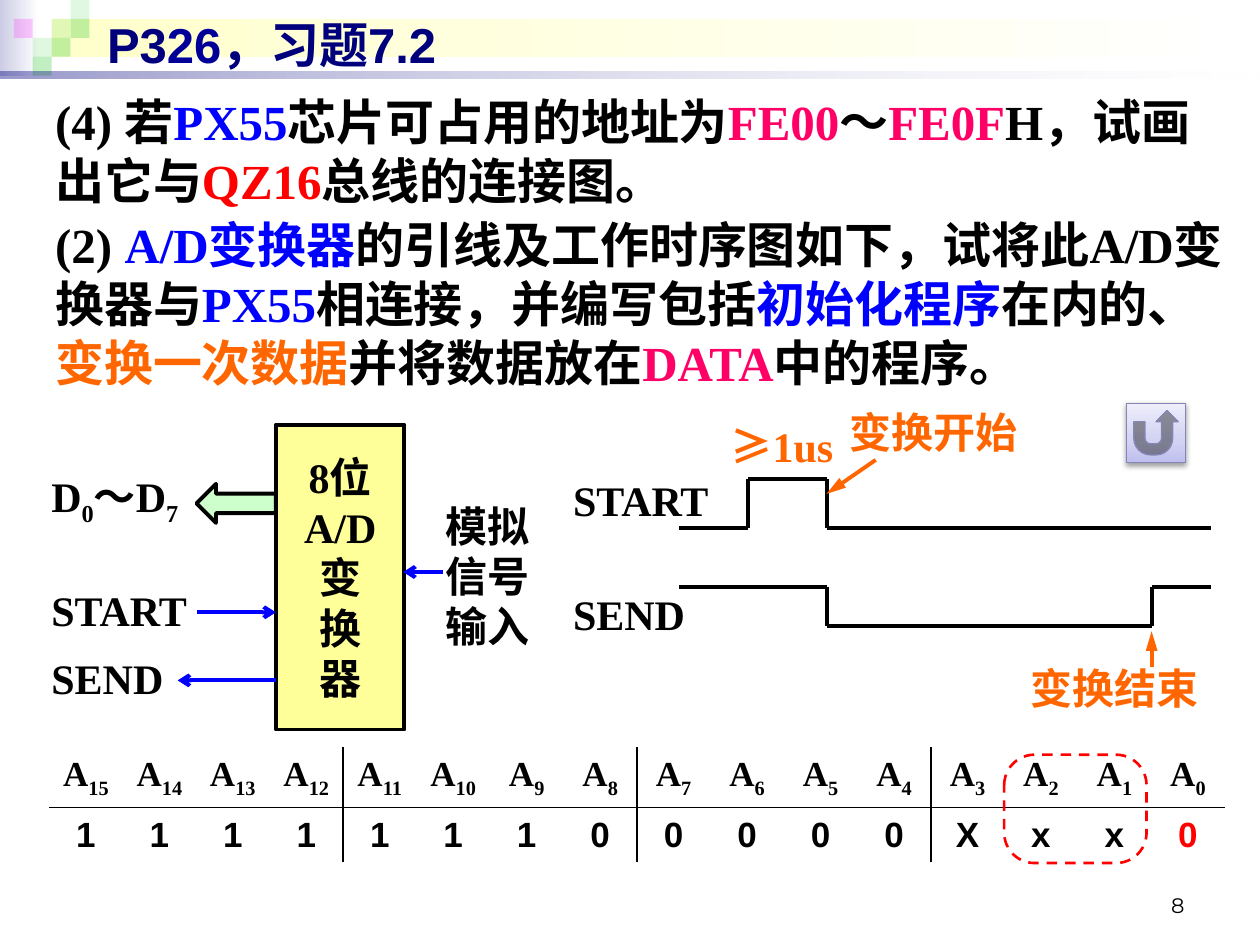
from itertools import pairwise
from lxml.etree import SubElement
from pptx import Presentation
from pptx.dml.color import RGBColor
from pptx.enum.dml import MSO_LINE
from pptx.enum.shapes import MSO_CONNECTOR, MSO_SHAPE
from pptx.enum.text import MSO_ANCHOR, MSO_AUTO_SIZE, PP_ALIGN
from pptx.oxml import parse_xml
from pptx.oxml.ns import nsdecls, qn
from pptx.util import Inches, Pt

BLACK = RGBColor(0, 0, 0)
NAVY = RGBColor(0, 0, 0x7D)
INK = RGBColor(0, 0, 0x99)
BLUE = RGBColor(0, 0, 0xFF)
RED = RGBColor(0xFF, 0, 0)
PINK = RGBColor(0xFF, 0, 0x66)
ORANGE = RGBColor(0xFF, 0x66, 0)
GREEN = RGBColor(0x33, 0xCC, 0x33)
PURPLE = RGBColor(0xFF, 0, 0xFF)
YELLOW = RGBColor(0xFF, 0xFF, 0x99)
MINT = RGBColor(0xCC, 0xFF, 0xCC)
CREAM = RGBColor(0xFF, 0xFF, 0xCC)
HAZE = RGBColor(0xCC, 0xCC, 0xE6)
WHITE = RGBColor(0xFF, 0xFF, 0xFF)
EDGE = RGBColor(0x86, 0x86, 0xB6)
LILAC = [RGBColor(0xBF, 0xBF, 0xF0), RGBColor(0xD2, 0xD2, 0xF3), RGBColor(0xED, 0xED, 0xFB)]
SERIF, SANS, HAN = "Times New Roman", "Arial", "Noto Sans CJK SC"
PLAIN = "{2D5ABB26-0587-4C30-8999-92F81FD0307C}"


def style(run, size, color=BLACK, face=SERIF, bold=True, sub=False):
    font = run.font
    font.size, font.bold, font.name = Pt(size), bold, face
    font.color.rgb = color
    SubElement(font._element, qn("a:ea")).set("typeface", HAN)
    if sub:
        font._element.set("baseline", "-25000")


def write(para, parts, size, align=PP_ALIGN.LEFT, pitch=None, **look):
    para.alignment = align
    if pitch:
        para.line_spacing = Pt(pitch)
    for text, extra in parts:
        run = para.add_run()
        run.text = text
        style(run, size, **(look | extra))


def place(shape, box):
    shape.left, shape.top, shape.width, shape.height = map(Inches, box)


def add_box(slide, box):
    frame = slide.shapes.add_textbox(*map(Inches, box)).text_frame
    frame.word_wrap = True
    return frame


def add_label(slide, box, text, color=BLACK, align=PP_ALIGN.LEFT):
    para = add_box(slide, box).paragraphs[0]
    para.text = text
    para.alignment, para.line_spacing = align, Pt(28.8)
    for run in para.runs:
        style(run, 24, color)


def add_form(slide, kind, box, fill=None, line=None, width=2.25):
    shape = slide.shapes.add_shape(kind, *map(Inches, box))
    shape.shadow.inherit = False
    if fill is None:
        shape.fill.background()
    else:
        shape.fill.solid()
        shape.fill.fore_color.rgb = fill
    if line is None:
        shape.line.fill.background()
    else:
        shape.line.color.rgb, shape.line.width = line, Pt(width)
    return shape


def fade(shape, stops, angle=0):
    marks = "".join(
        f'<a:gs pos="{pos * 1000}"><a:srgbClr val="{color}">'
        f'<a:alpha val="{alpha * 1000}"/></a:srgbClr></a:gs>'
        for pos, color, alpha in stops)
    grad = parse_xml(f'<a:gradFill {nsdecls("a")} rotWithShape="1"><a:gsLst>{marks}'
                     f'</a:gsLst><a:lin ang="{angle * 60000}" scaled="0"/></a:gradFill>')
    props = shape._element.spPr
    props.replace(props.find(qn("a:noFill")), grad)


def add_line(slide, start, end, color=BLACK, head=None, size="med"):
    line = slide.shapes.add_connector(MSO_CONNECTOR.STRAIGHT, *map(Inches, start + end))
    line.line.color.rgb, line.line.width = color, Pt(2.25)
    SubElement(line._element.spPr, qn("a:effectLst"))
    if head:
        tip = SubElement(line.line._get_or_add_ln(), qn("a:tailEnd"))
        tip.set("type", head)
        tip.set("len", size)


def add_wave(slide, points):
    for start, end in pairwise(points):
        add_line(slide, start, end)


def add_decor(slide):
    rect = MSO_SHAPE.RECTANGLE
    fade(add_form(slide, rect, (0, 0, 0.31, 0.6)), [(0, HAZE, 100), (100, WHITE, 100)])
    fade(add_form(slide, rect, (0.41, 0.15, 9.55, 0.3)), [(0, CREAM, 100), (100, WHITE, 100)])
    tiles = [(2, 1, GREEN, 15), (3, 0, GREEN, 15), (3, 1, GREEN, 30), (1, 2, GREEN, 15),
             (0, 1, PURPLE, 20), (2, 2, GREEN, 30), (1, 3, GREEN, 30)]
    for col, row, color, alpha in tiles:
        tile = add_form(slide, rect, (0.11 + 0.15 * col, 0.15 * row, 0.15, 0.15), color)
        shade = tile._element.spPr.find(qn("a:solidFill"))[0]
        SubElement(shade, qn("a:alpha")).set("val", str(alpha * 1000))
    fade(add_form(slide, rect, (0, 0.57, 10, 0.05)), [(0, NAVY, 40), (100, WHITE, 10)])


def add_title(slide):
    title = slide.shapes.title
    place(title, (0.75, 0.05, 8.64, 0.59))
    title._element.getparent().append(title._element)
    frame = title.text_frame
    frame.auto_size = MSO_AUTO_SIZE.NONE
    frame.vertical_anchor = MSO_ANCHOR.MIDDLE
    write(frame.paragraphs[0], [("P3", {}), ("26", {"color": INK}), ("，习题7.2", {})],
          28, color=NAVY, face=SANS)


def add_body(slide):
    blue, pink = {"color": BLUE}, {"color": PINK}
    tasks = [
        [("(4) 若", {}), ("PX55", blue), ("芯片可占用的地址为", {}), ("FE00", pink),
         ("～", {}), ("FE0F", pink), ("H，试画出它与", {}), ("QZ16", {"color": RED}),
         ("总线的连接图。", {})],
        [("(2) ", {}), ("A/D变换器", blue),
         ("的引线及工作时序图如下，试将此A/D变换器与", {}), ("PX55", blue),
         ("相连接，并编写包括", {}), ("初始化程序", blue), ("在内的、", {}),
         ("变换一次数据", {"color": ORANGE}), ("并将数据放在", {}), ("DATA", pink),
         ("中的程序。", {})]]
    frame = add_box(slide, (0.34, 0.68, 9.5, 2.66))
    for i, parts in enumerate(tasks):
        para = frame.add_paragraph() if i else frame.paragraphs[0]
        para.space_before = Pt(3)
        write(para, parts, 28, pitch=33.6)
        para._p.get_or_add_pPr().set("hangingPunct", "0")


def add_chip(slide):
    chip = add_form(slide, MSO_SHAPE.RECTANGLE, (2.19, 3.37, 1.02, 2.42), YELLOW, BLACK)
    para = chip.text_frame.paragraphs[0]
    para.text = "8位\vA/D\v变\v换\v器"
    para.alignment, para.line_spacing = PP_ALIGN.CENTER, Pt(28.8)
    for run in para.runs:
        style(run, 24)
    add_form(slide, MSO_SHAPE.LEFT_ARROW, (1.56, 3.84, 0.63, 0.31), MINT, BLACK)
    for start, end in [((1.56, 4.86), (2.19, 4.86)), ((2.19, 5.4), (1.41, 5.4)),
                       ((3.52, 4.54), (3.2, 4.54))]:
        add_line(slide, start, end, BLUE, "arrow")
    bus = add_box(slide, (0.31, 3.74, 1.56, 0.5)).paragraphs[0]
    low = {"sub": True}
    write(bus, [("D", {}), ("0", low), ("～D", {}), ("7", low)], 24, pitch=28.8)
    add_label(slide, (0.31, 4.59, 1.56, 0.5), "START")
    add_label(slide, (0.31, 5.13, 1.56, 0.5), "SEND")
    add_label(slide, (3.44, 3.92, 1.02, 1.31), "模拟\v信号\v输入")


def add_timing(slide):
    add_wave(slide, [(5.39, 4.19), (5.94, 4.19), (5.94, 3.8), (6.56, 3.8),
                     (6.56, 4.19), (9.61, 4.19)])
    add_wave(slide, [(5.39, 4.66), (6.56, 4.66), (6.56, 4.97), (9.14, 4.97),
                     (9.14, 4.66), (9.61, 4.66)])
    add_label(slide, (4.45, 3.72, 1.56, 0.5), "START")
    add_label(slide, (4.45, 4.62, 1.56, 0.5), "SEND")
    pulse = add_box(slide, (5.7, 3.29, 1.33, 0.5)).paragraphs[0]
    write(pulse, [("≥", {"face": HAN}), ("1us", {})], 24, pitch=28.8, color=ORANGE)
    add_line(slide, (9.14, 5.29), (9.14, 5.01), ORANGE, "triangle", "lg")
    add_label(slide, (7.42, 5.21, 2.19, 0.5), "变换结束", ORANGE, PP_ALIGN.RIGHT)
    add_line(slide, (6.95, 3.65), (6.56, 3.92), ORANGE, "triangle", "lg")
    add_label(slide, (6.64, 3.18, 2.19, 0.5), "变换开始", ORANGE)


def add_border(cell, sides):
    for side in sides:
        cell._tc.get_or_add_tcPr().append(parse_xml(
            f'<a:ln{side} {nsdecls("a")} w="12700"><a:solidFill>'
            f'<a:srgbClr val="{BLACK}"/></a:solidFill></a:ln{side}>'))


def add_bits(slide):
    bits = "111111100000Xxx0"
    count = len(bits)
    grid = slide.shapes.add_table(2, count, *map(Inches, (0.39, 5.93, 9.33, 0.91)))
    table = grid.table
    grid._element.find(".//" + qn("a:tableStyleId")).text = PLAIN
    table.first_row = table.horz_banding = False
    table.rows[0].height, table.rows[1].height = Inches(0.48), Inches(0.43)
    for i, bit in enumerate(bits):
        table.columns[i].width = Inches(9.33 / count)
        name = [("A", {}), (str(count - 1 - i), {"sub": True})]
        value = [(bit, {"face": SANS, "color": RED if i == count - 1 else BLACK})]
        for row, parts in enumerate((name, value)):
            cell = table.cell(row, i)
            cell.margin_left = cell.margin_right = 0
            cell.vertical_anchor = MSO_ANCHOR.MIDDLE
            right = "R" if i % 4 == 3 and i < count - 1 else ""
            add_border(cell, right + "BT"[row])
            cell.fill.background()
            write(cell.text_frame.paragraphs[0], parts, 20, PP_ALIGN.CENTER)


def add_button(slide):
    button = add_form(slide, MSO_SHAPE.ACTION_BUTTON_RETURN, (8.94, 3.2, 0.47, 0.47),
                      line=EDGE, width=0.75)
    fade(button, [(pos, color, 100) for pos, color in zip((0, 35, 100), LILAC)], 270)
    button._element.spPr.find(qn("a:effectLst")).append(parse_xml(
        f'<a:outerShdw {nsdecls("a")} blurRad="40000" dist="20000" dir="5400000">'
        f'<a:srgbClr val="{BLACK}"><a:alpha val="38000"/></a:srgbClr></a:outerShdw>'))


def main():
    deck = Presentation()
    deck.slide_width, deck.slide_height = Inches(10), Inches(7.5)
    slide = deck.slides.add_slide(deck.slide_layouts[5])
    add_decor(slide)
    add_title(slide)
    add_body(slide)
    page = add_box(slide, (7.17, 6.83, 2.33, 0.5))
    page.vertical_anchor = MSO_ANCHOR.BOTTOM
    write(page.paragraphs[0], [("8", {})], 12, PP_ALIGN.RIGHT, face="Montserrat", bold=False)
    add_chip(slide)
    add_timing(slide)
    add_bits(slide)
    ring = add_form(slide, MSO_SHAPE.ROUNDED_RECTANGLE, (7.97, 5.99, 1.13, 0.86),
                    line=RED, width=1.5)
    ring.adjustments[0] = 0.28
    ring.line.dash_style = MSO_LINE.DASH
    add_button(slide)
    deck.save("out.pptx")


if __name__ == "__main__":
    main()
